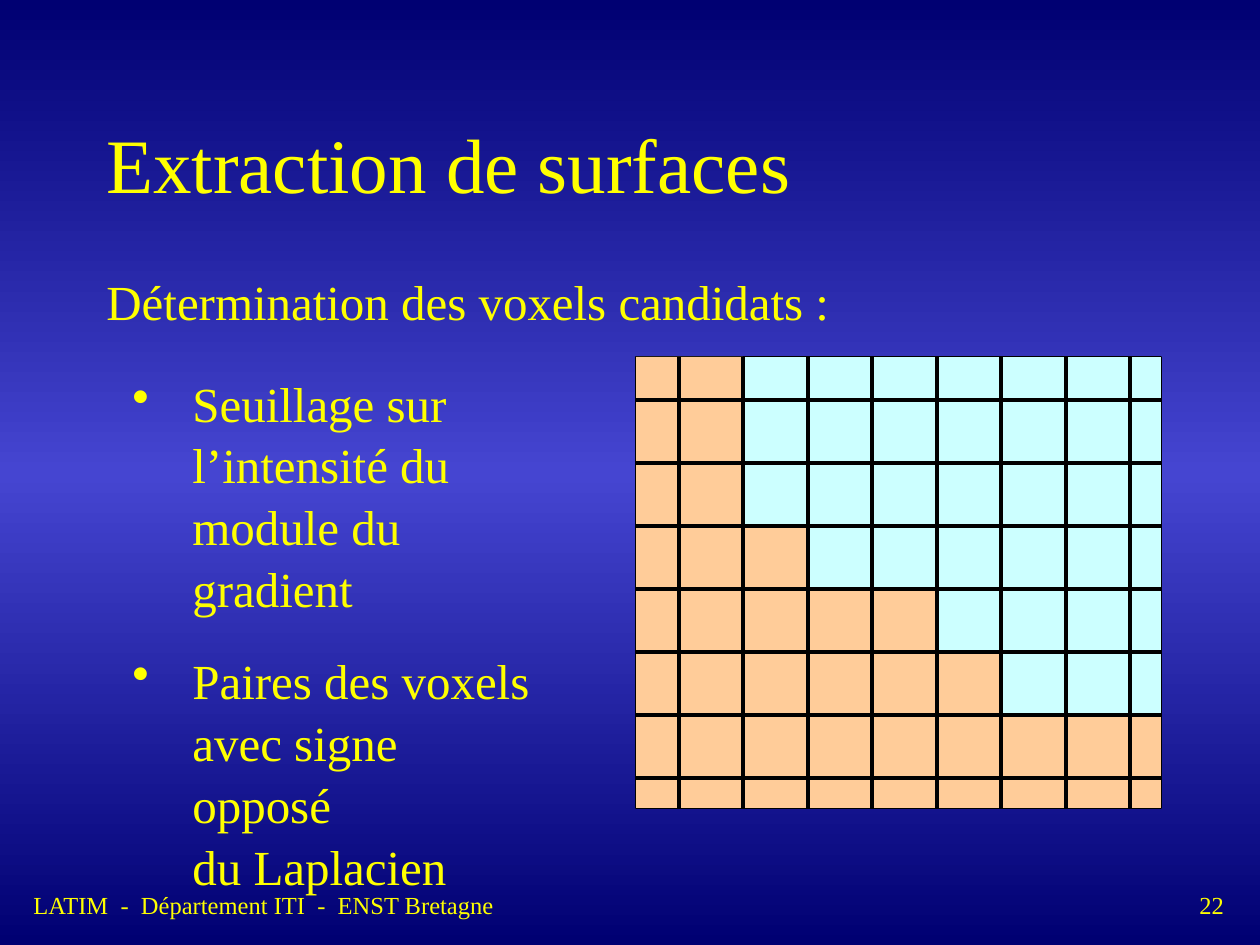
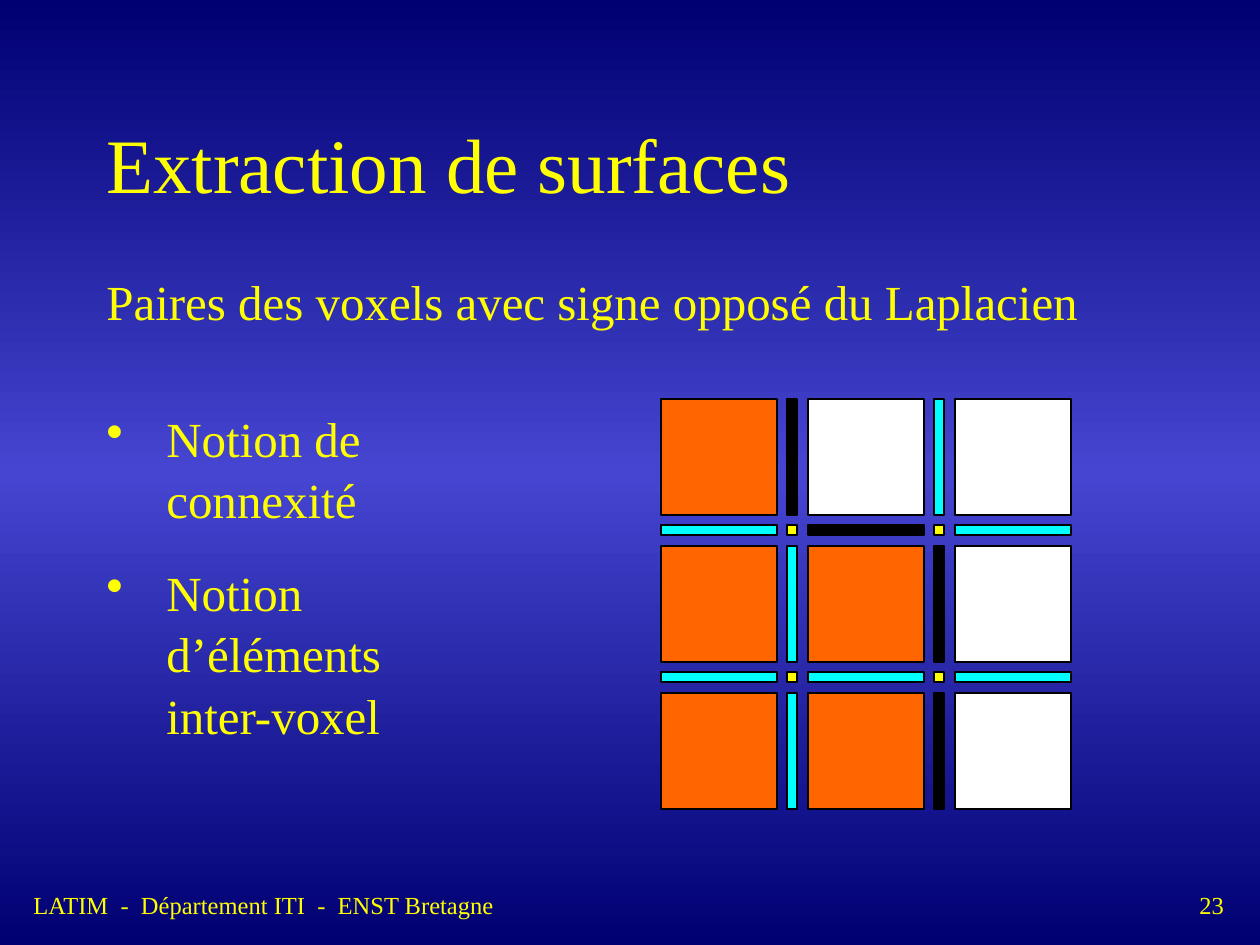
from copy import deepcopy

from lxml import etree
from pptx import Presentation
from pptx.dml.color import RGBColor
from pptx.enum.shapes import MSO_CONNECTOR, MSO_SHAPE
from pptx.enum.text import MSO_ANCHOR
from pptx.oxml.ns import qn
from pptx.util import Pt

PX = 914400 / 126
WIDE, HIGH = 1260, 945
RECT = MSO_SHAPE.RECTANGLE
STRAIGHT = MSO_CONNECTOR.STRAIGHT
TOP, MIDDLE = MSO_ANCHOR.TOP, MSO_ANCHOR.MIDDLE
FONT = "Times New Roman"
LEAD = 1.05
HANG = 60
COLORS = {
    "night": "000072",
    "glow": "4545D1",
    "text": "FFFF00",
    "ink": "000000",
    "white": "FFFFFF",
    "peach": "FFCC99",
    "ice": "CCFFFF",
    "orange": "FF6600",
    "cyan": "00FFFF",
    "yellow": "FFFF00",
}
STAIRS = [(1, 2), (2, 3), (4, 4), (5, 5)]
CODES = {"O": "orange", "W": "white", "C": "cyan", "Y": "yellow", "K": "ink"}
VOXELS = ["OKWCW", "CYKYC", "OCOKW", "CYCYC", "OCOKW"]


def emu(*sizes):
    return [round(size * PX) for size in sizes]


def rgb(name):
    return RGBColor.from_string(COLORS[name])


def add_back(master):
    fill = master.background.fill
    fill.gradient()
    fill.gradient_angle = 90
    first, mid = fill.gradient_stops
    first.color.rgb, first.position = rgb("night"), 0
    mid.color.rgb, mid.position = rgb("glow"), 0.5
    stops = master.element.find(".//" + qn("a:gsLst"))
    last = deepcopy(stops[0])
    last.set("pos", "100000")
    stops.append(last)


def add_text(slide, box, lines, size, gap=0, anchor=TOP, lead=LEAD):
    frame = slide.shapes.add_textbox(*emu(*box)).text_frame
    frame.word_wrap = True
    frame.vertical_anchor = anchor
    for i, line in enumerate(lines):
        para = frame.add_paragraph() if i else frame.paragraphs[0]
        para.text = line
        para.line_spacing = lead
        para.space_before = Pt(gap)
        para.font.name = FONT
        para.font.size = Pt(size)
        para.font.color.rgb = rgb("text")
    return frame


def add_list(slide, box, items):
    frame = add_text(slide, box, items, 28, 17.5)
    hang, = emu(HANG)
    for para in frame.paragraphs:
        props = para._p.get_or_add_pPr()
        props.set("marL", str(hang))
        props.set("indent", str(-hang))
        mark = etree.Element(qn("a:buChar"), char="•")
        props.insert_element_before(mark, "a:tabLst", "a:defRPr", "a:extLst")


def add_frame(slide, title, lead, page):
    add_text(slide, (1187, 882, 73, 43), [str(page)], 14, 8.8)
    add_text(slide, (21, 882, 903, 43),
             ["LATIM  -  Département ITI  -  ENST Bretagne"], 14, 8.8)
    add_text(slide, (94, 84, 1071, 158), [title], 44, anchor=MIDDLE, lead=1)
    add_text(slide, (94, 262, 1040, 72), [lead], 28, 17.5)


def add_box(slide, box, fill):
    shape = slide.shapes.add_shape(RECT, *emu(*box))
    shape.shadow.inherit = False
    shape.fill.solid()
    shape.fill.fore_color.rgb = rgb(fill)
    shape.line.color.rgb = rgb("ink")
    shape.line.width = Pt(0.75)


def add_area(slide, points, fill):
    pen = slide.shapes.build_freeform(*points[0], scale=PX)
    pen.add_line_segments(points[1:], close=True)
    shape = pen.convert_to_shape()
    shape.shadow.inherit = False
    shape.fill.solid()
    shape.fill.fore_color.rgb = rgb(fill)
    shape.line.fill.background()


def add_rule(slide, *ends):
    line = slide.shapes.add_connector(STRAIGHT, *emu(*ends))
    line.line.color.rgb = rgb("ink")
    line.line.width = Pt(2)
    etree.SubElement(line._element.spPr, qn("a:effectLst"))


def add_mesh(slide, box):
    left, top, width, height = box
    right, base = left + width, top + height
    cols = [left + 43 + round(i * 451 / 7) for i in range(8)]
    rows = [top + 43 + i * 63 for i in range(7)]
    add_box(slide, box, "white")
    edge, y = [], top
    for col, row in STAIRS:
        edge += [(cols[col], y), (cols[col], rows[row])]
        y = rows[row]
    edge.append((right, y))
    add_area(slide, edge + [(right, base), (left, base), (left, top)], "peach")
    add_area(slide, edge + [(right, top)], "ice")
    for x in cols:
        add_rule(slide, x, top, x, base)
    for y in rows:
        add_rule(slide, right, y, left, y)


def add_voxels(slide, left, top, cell=116, thin=10, pitch=147):
    inset = cell + (pitch - cell - thin) // 2
    spans = [(i // 2 * pitch + i % 2 * inset, thin if i % 2 else cell)
             for i in range(len(VOXELS))]
    for (y, high), line in zip(spans, VOXELS):
        for (x, wide), code in zip(spans, line):
            add_box(slide, (left + x, top + y, wide, high), CODES[code])


def main():
    deck = Presentation()
    deck.slide_width, deck.slide_height = emu(WIDE, HIGH)
    add_back(deck.slide_master)
    blank = deck.slide_layouts[6]
    title = "Extraction de surfaces"

    slide = deck.slides.add_slide(blank)
    add_frame(slide, title, "Détermination des voxels candidats :", 22)
    add_mesh(slide, (636, 357, 525, 451))
    add_list(slide, (120, 364, 437, 455), [
        "Seuillage sur\vl’intensité du\vmodule du\vgradient",
        "Paires des voxels\vavec signe opposé\vdu Laplacien",
    ])

    slide = deck.slides.add_slide(blank)
    add_frame(slide, title,
              "Paires des voxels avec signe opposé du Laplacien", 23)
    add_list(slide, (94, 399, 441, 278), [
        "Notion de\vconnexité",
        "Notion d’éléments\vinter-voxel",
    ])
    add_voxels(slide, 661, 399)

    deck.save("out.pptx")


if __name__ == "__main__":
    main()
